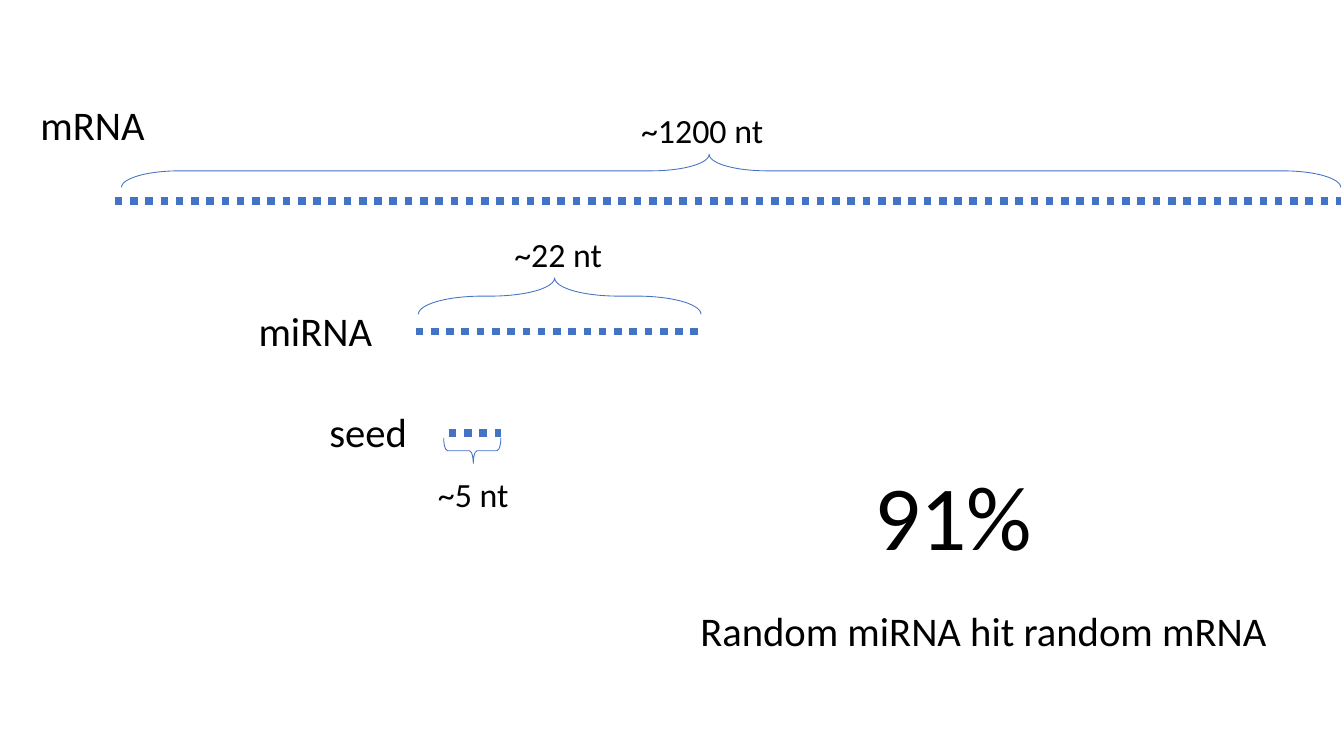
import pptx
import pptx.dml.color
import pptx.enum.dml
import pptx.enum.shapes
import pptx.enum.text
import pptx.util
from lxml import etree
from pptx.util import Cm

# Content: lengths in centimetres
SLIDE_SIZE = (28, 15.75)

# Each strand: start x, end x, y
STRANDS = {
    "mRNA": (2.39, 27.94, 4.19),
    "miRNA": (8.66, 14.63, 6.91),
    "seed": (9.35, 10.44, 9.02),
}

# Each brace: centre x, centre y, span, depth, rotation, curvature
BRACES = {
    "mRNA": (15.23, 3.56, 25.4, 0.69, 90, 1.75),
    "miRNA": (11.66, 6.17, 5.89, 0.76, 90, 1.75),
    "seed": (9.84, 9.39, 1.19, 0.53, 270, 0.15),
}

# Each label: text, role, centre x, top, width
LABELS = [
    ("mRNA", "name", 1.93, 1.96, 2.69),
    ("miRNA", "name", 6.57, 6.25, 2.87),
    ("seed", "name", 7.67, 8.36, 2.13),
    ("~1200 nt", "length", 14.63, 2.16, 3.05),
    ("~22 nt", "length", 11.63, 4.75, 2.34),
    ("~5 nt", "length", 9.86, 9.75, 1.98),
    ("91%", "result", 19.86, 9.45, 3.81),
    ("Random miRNA hit random mRNA", "name", 20.49, 12.5, 12.32),
]

THEME = {
    "font": "Calibri",
    "text": pptx.dml.color.RGBColor(0x00, 0x00, 0x00),
    "accent": pptx.dml.color.RGBColor(0x44, 0x72, 0xC4),
    "strand_width": 4.5,
    "brace_width": 0.5,
    "brace_tip": 0.518,
    # Role: type size in points, box height in centimetres
    "roles": {"name": (24, 1.27), "length": (20, 1.09), "result": (54, 2.54)},
}


def apply_format(target, values):
    for name, value in values.items():
        setattr(target, name, value)


def style_line(line, width):
    line.color.rgb = THEME["accent"]
    line.width = pptx.util.Pt(width)


def add_strand(slide, start, end, y):
    strand = slide.shapes.add_connector(
        pptx.enum.shapes.MSO_CONNECTOR.STRAIGHT, Cm(start), Cm(y), Cm(end), Cm(y))
    style_line(strand.line, THEME["strand_width"])
    strand.line.dash_style = pptx.enum.dml.MSO_LINE.ROUND_DOT
    properties = strand._element.spPr
    etree.SubElement(properties, pptx.oxml.ns.qn("a:effectLst"))


def add_brace(slide, center_x, center_y, span, depth, rotation, curvature):
    # The upright brace is turned about its centre
    brace = slide.shapes.add_shape(
        pptx.enum.shapes.MSO_SHAPE.LEFT_BRACE,
        Cm(center_x - depth / 2), Cm(center_y - span / 2), Cm(depth), Cm(span))
    brace.rotation = rotation
    brace.adjustments[0] = curvature
    brace.adjustments[1] = THEME["brace_tip"]
    brace.fill.background()
    brace.shadow.inherit = False
    style_line(brace.line, THEME["brace_width"])


def add_label(slide, text, role, center_x, top, width):
    size, height = THEME["roles"][role]
    label = slide.shapes.add_textbox(
        Cm(center_x - width / 2), Cm(top), Cm(width), Cm(height))
    apply_format(label.text_frame, {
        "word_wrap": False,
        "auto_size": pptx.enum.text.MSO_AUTO_SIZE.SHAPE_TO_FIT_TEXT,
    })
    paragraph = label.text_frame.paragraphs[0]
    paragraph.text = text
    paragraph.alignment = pptx.enum.text.PP_ALIGN.CENTER
    apply_format(paragraph.font, {"name": THEME["font"], "size": pptx.util.Pt(size)})
    paragraph.font.color.rgb = THEME["text"]


def main():
    presentation = pptx.Presentation()
    presentation.slide_width, presentation.slide_height = map(Cm, SLIDE_SIZE)
    slide = presentation.slides.add_slide(
        presentation.slide_layouts.get_by_name("Blank"))

    # Sequences with their length braces
    for name, strand in STRANDS.items():
        add_strand(slide, *strand)
        add_brace(slide, *BRACES[name])

    # Names, lengths and the result
    for label in LABELS:
        add_label(slide, *label)

    presentation.save("out.pptx")


if __name__ == "__main__":
    main()
